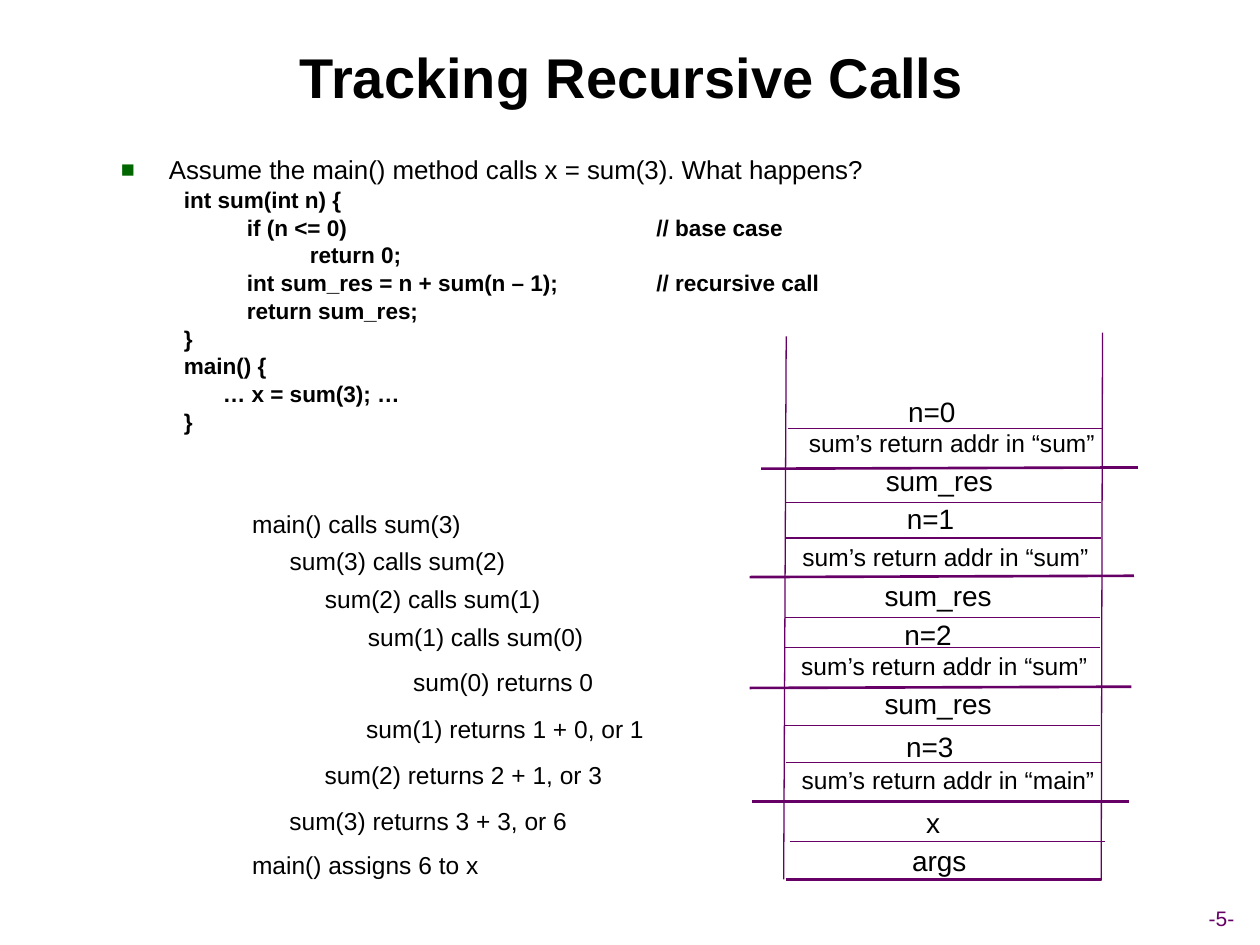
from dataclasses import dataclass

from lxml import etree
from pptx import Presentation
from pptx.dml.color import RGBColor
from pptx.enum.shapes import MSO_CONNECTOR
from pptx.enum.text import MSO_ANCHOR, MSO_AUTO_SIZE, PP_ALIGN
from pptx.oxml.ns import qn
from pptx.util import Inches, Pt

CENTER = PP_ALIGN.CENTER
MIDDLE = MSO_ANCHOR.MIDDLE
TOP = MSO_ANCHOR.TOP
NO_FIT = MSO_AUTO_SIZE.NONE
GROW = MSO_AUTO_SIZE.SHAPE_TO_FIT_TEXT
STRAIGHT = MSO_CONNECTOR.STRAIGHT


@dataclass(frozen=True)
class Theme:
    font: str = "Arial"
    ink: RGBColor = RGBColor.from_string("000000")
    purple: RGBColor = RGBColor.from_string("660066")
    bullet: str = "006600"
    title: float = 32
    lead: float = 14.8
    code: float = 12.9
    value: float = 16
    label: float = 14
    number: float = 12
    thin: float = 0.75
    thick: float = 1.5


INDENTS = [(0.38, -0.38), (0.81, -0.31), (1.25, -0.25), (1.75, -0.25)]

BODY = [
    (0, "Assume the main() method calls x = sum(3). What happens?"),
    (1, "int sum(int n) {"),
    (2, "if (n <= 0)\t\t\t// base case"),
    (3, "return 0;"),
    (2, "int sum_res = n + sum(n – 1);\t// recursive call"),
    (2, "return sum_res;"),
    (1, "}"),
    (1, "main() {"),
    (1, "\t… x = sum(3); …"),
    (1, "}"),
]

CALLS = [
    ("main() calls sum(3)", 1.9, 3.99, 1.86),
    ("sum(3) calls sum(2)", 2.2, 4.28, 1.91),
    ("sum(2) calls sum(1)", 2.48, 4.58, 1.91),
    ("sum(1) calls sum(0)", 2.82, 4.88, 1.91),
    ("sum(0) returns 0", 3.18, 5.24, 1.63),
    ("sum(1) returns 1 + 0, or 1", 2.81, 5.61, 2.4),
    ("sum(2) returns 2 + 1, or 3", 2.48, 5.98, 2.4),
    ("sum(3) returns 3 + 3, or 6", 2.2, 6.34, 2.4),
    ("main() assigns 6 to x", 1.9, 6.69, 2),
]

STACK_VALUES = [
    ("n=0", 7.11, 3.08, 0.57),
    ("sum_res", 6.93, 3.63, 1.05),
    ("n=1", 7.1, 3.93, 0.57),
    ("sum_res", 6.92, 4.54, 1.05),
    ("n=2", 7.08, 4.85, 0.57),
    ("sum_res", 6.92, 5.4, 1.05),
    ("n=3", 7.09, 5.74, 0.58),
    ("x", 7.25, 6.34, 0.31),
    ("args", 7.14, 6.64, 0.63),
]

RETURN_ADDRESSES = [
    ("sum’s return addr in “sum”", 6.26, 3.35, 2.59),
    ("sum’s return addr in “sum”", 6.06, 4.25, 2.89),
    ("sum’s return addr in “sum”", 6.14, 5.12, 2.71),
    ("sum’s return addr in “main”", 6.15, 6.02, 2.75),
]

STACK_WALLS = [(6.24, 2.67, 6.22, 6.98), (8.75, 2.64, 8.74, 6.99)]

CELL_WIDTH = 2.5
CELL_DIVIDERS = [
    (6.25, 3.4), (6.24, 3.99), (6.24, 4.27), (6.23, 4.9),
    (6.23, 5.14), (6.23, 5.76), (6.24, 6.05), (6.27, 6.68),
]

FRAME_BORDERS = [
    (6.04, 3.72, 9.03, 3.71),
    (5.95, 4.58, 9, 4.57),
    (5.95, 5.46, 8.98, 5.45),
    (5.97, 6.36, 8.96, 6.36),
    (6.24, 6.98, 8.74, 6.98),
]


class SlideBuilder:
    """Draws styled elements on the current slide."""

    def __init__(self, slide, theme):
        self.slide = slide
        self.theme = theme

    def place(self, shape, left, top, width, height):
        shape.left, shape.top = Inches(left), Inches(top)
        shape.width, shape.height = Inches(width), Inches(height)

    def format_runs(self, paragraph, size, color, bold=False):
        for run in paragraph.runs:
            run.font.name = self.theme.font
            run.font.size = Pt(size)
            run.font.bold = bold
            run.font.color.rgb = color

    def title(self, text, *bounds):
        shape = self.slide.shapes.title
        self.place(shape, *bounds)
        frame = shape.text_frame
        frame.text = text
        frame.vertical_anchor = MIDDLE
        frame.auto_size = NO_FIT
        paragraph = frame.paragraphs[0]
        paragraph.alignment = CENTER
        self.format_runs(paragraph, self.theme.title, self.theme.ink, True)

    def set_list_style(self, paragraph, level):
        margin, indent = INDENTS[level]
        properties = paragraph._p.get_or_add_pPr()
        properties.set("marL", str(Inches(margin)))
        properties.set("indent", str(Inches(indent)))
        properties.set("defTabSz", str(Inches(1)))
        if level:
            etree.SubElement(properties, qn("a:buNone"))
        else:
            color = etree.SubElement(properties, qn("a:buClr"))
            etree.SubElement(color, qn("a:srgbClr"), val=self.theme.bullet)
            etree.SubElement(properties, qn("a:buSzPct"), val="90000")
            etree.SubElement(properties, qn("a:buFont"), typeface=self.theme.font)
            etree.SubElement(properties, qn("a:buChar"), char="■")
        tabs = etree.SubElement(properties, qn("a:tabLst"))
        for stop in range(1, 9):
            position = str(Inches(margin + stop))
            etree.SubElement(tabs, qn("a:tab"), pos=position, algn="l")

    def body(self, lines, *bounds):
        shape = self.slide.placeholders[1]
        self.place(shape, *bounds)
        frame = shape.text_frame
        frame.vertical_anchor = TOP
        frame.auto_size = NO_FIT
        for index, (level, text) in enumerate(lines):
            paragraph = frame.add_paragraph() if index else frame.paragraphs[0]
            paragraph.text = text
            paragraph.level = level
            paragraph.line_spacing = 0.8
            paragraph.space_before = Pt(3.5 if index else 0)
            self.set_list_style(paragraph, level)
            size = self.theme.code if level else self.theme.lead
            self.format_runs(paragraph, size, self.theme.ink, level > 0)

    def label(self, text, left, top, width, height, size, color=None):
        shape = self.slide.shapes.add_textbox(
            Inches(left), Inches(top), Inches(width), Inches(height))
        frame = shape.text_frame
        frame.word_wrap = False
        frame.auto_size = GROW
        frame.margin_left = frame.margin_right = 0
        frame.vertical_anchor = MIDDLE
        frame.text = text
        paragraph = frame.paragraphs[0]
        paragraph.alignment = CENTER
        self.format_runs(paragraph, size, color or self.theme.ink)

    def line(self, start_x, start_y, end_x, end_y, width):
        connector = self.slide.shapes.add_connector(
            STRAIGHT, Inches(start_x), Inches(start_y), Inches(end_x), Inches(end_y))
        connector.line.color.rgb = self.theme.purple
        connector.line.width = Pt(width)
        etree.SubElement(connector._element.spPr, qn("a:effectLst"))


def main():
    presentation = Presentation()
    presentation.slide_width, presentation.slide_height = Inches(10), Inches(7.5)
    for root in (presentation.element, presentation.slide_master.element):
        for style in root.xpath(".//*[@defTabSz]"):
            style.set("defTabSz", str(Inches(1)))
    theme = Theme()
    slide = presentation.slides.add_slide(presentation.slide_layouts[1])
    builder = SlideBuilder(slide, theme)

    builder.label("-5-", 9.16, 7.14, 1.07, 0.3, theme.number, theme.purple)
    builder.title("Tracking Recursive Calls", 0.38, 0.13, 9.27, 0.95)
    builder.body(BODY, 0.86, 1.22, 7.13, 3.23)

    for wall in STACK_WALLS:
        builder.line(*wall, theme.thin)
    for left, top in CELL_DIVIDERS:
        builder.line(left, top, left + CELL_WIDTH, top, theme.thin)
    for border in FRAME_BORDERS:
        builder.line(*border, theme.thick)

    for rows, height, size in (
        (STACK_VALUES, 0.37, theme.value),
        (RETURN_ADDRESSES, 0.33, theme.label),
        (CALLS, 0.34, theme.label),
    ):
        for row in rows:
            builder.label(*row, height, size)

    presentation.save("out.pptx")


if __name__ == "__main__":
    main()
